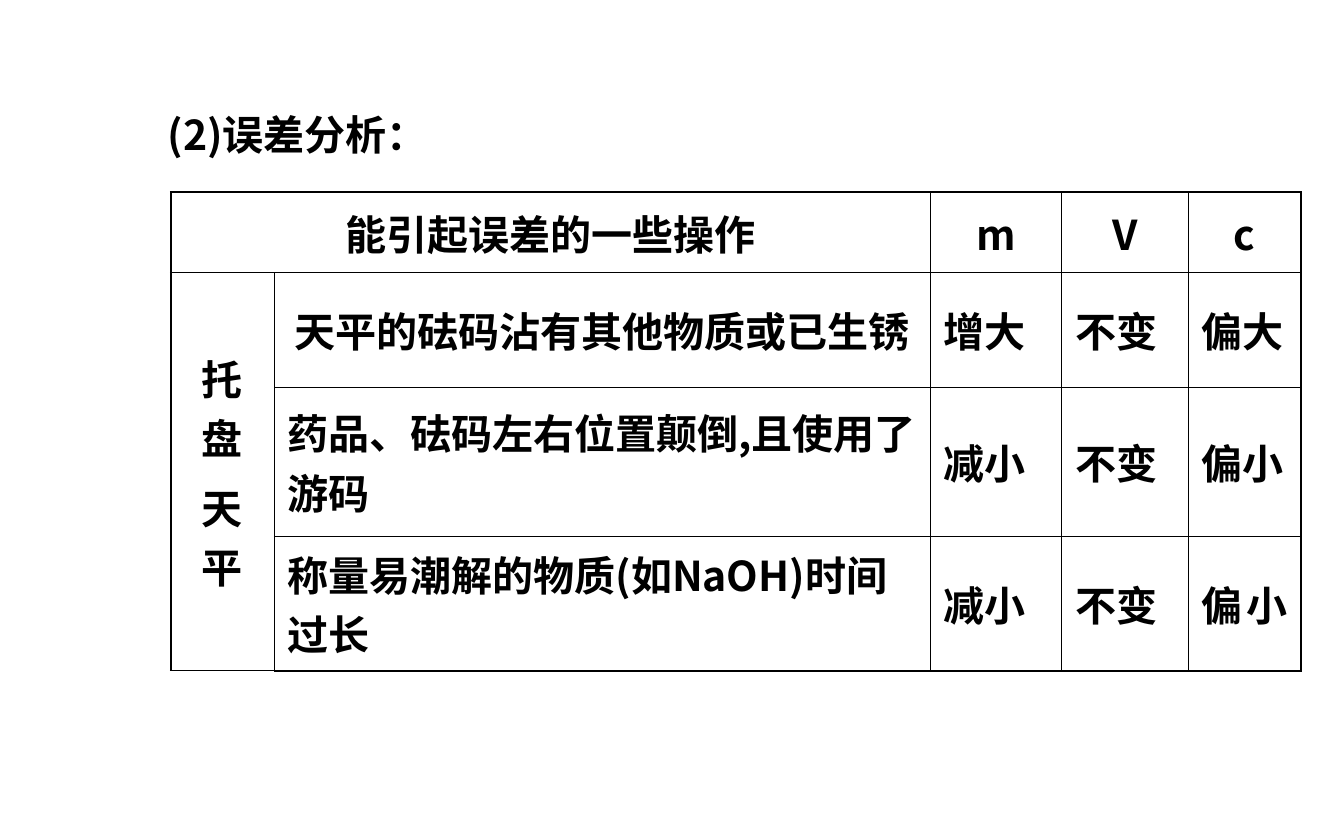
from lxml.etree import SubElement
from pptx import Presentation
from pptx.dml.color import RGBColor
from pptx.enum.text import MSO_ANCHOR, PP_ALIGN
from pptx.oxml import parse_xml
from pptx.oxml.ns import nsdecls, qn
from pptx.util import Inches, Pt

FONT = "Noto Sans CJK SC"
BLACK = "000000"
THIN, THICK = 0.45, 1.08
COLS = [0.77, 4.88, 0.98, 0.94, 0.84]
ROWS = [0.6, 0.85, 1.11, 1]
CELLS = [
    ["能引起误差的一些操作", "", "m", "V", "c"],
    ["托盘\n天平", "天平的砝码沾有其他物质或已生锈", "增大", "不变", "偏大"],
    ["", "药品、砝码左右位置颠倒,且使用了游码", "减小", "不变", "偏小"],
    ["", "称量易潮解的物质(如NaOH)时间过长", "减小", "不变", "偏小"],
]
CENTRED = {(1, 0), (1, 1)}


def rgb(color):
    return RGBColor.from_string(color)


def add_run(p, text, name=FONT, size=22, bold=True):
    r = p.add_run()
    r.text = text
    r.font.color.rgb = rgb(BLACK)
    for key, value in {"name": name, "size": Pt(size), "bold": bold}.items():
        setattr(r.font, key, value)
    SubElement(r.font._element, qn("a:ea"), typeface=name)


def write(tf, text, align=PP_ALIGN.LEFT, line_spacing=None):
    for i, line in enumerate(text.split("\n")):
        p = tf.add_paragraph() if i else tf.paragraphs[0]
        p.alignment = align
        if line_spacing:
            p.line_spacing = line_spacing
        if i:
            p.space_before = Pt(5.5)
        add_run(p, line)


def add_heading(s, text):
    tf = s.shapes.add_textbox(Inches(1.15), Inches(0.58), Inches(8.55), Inches(0.65)).text_frame
    tf.word_wrap = True
    write(tf, text, line_spacing=1.5)


def set_borders(cell, row, col):
    """Thick lines on the table's outline, thin lines inside."""
    outer = {"L": col == 0, "R": col == len(COLS) - 1,
             "T": row == 0, "B": row == len(ROWS) - 1}
    tcPr = cell._tc.get_or_add_tcPr()
    for i, (side, is_outer) in enumerate(outer.items()):
        width = Pt(THICK if is_outer else THIN)
        tcPr.insert(i, parse_xml(
            f'<a:ln{side} {nsdecls("a")} w="{width}"><a:solidFill>'
            f'<a:srgbClr val="{BLACK}"/></a:solidFill></a:ln{side}>'))


def fill_cell(cell, text, row, col):
    cell.fill.background()
    cell.vertical_anchor = MSO_ANCHOR.MIDDLE
    set_borders(cell, row, col)
    if text:
        centred = row == 0 or (row, col) in CENTRED
        write(cell.text_frame, text, PP_ALIGN.CENTER if centred else PP_ALIGN.LEFT)


def add_error_table(s):
    frame = s.shapes.add_table(len(ROWS), len(COLS), Inches(1.27), Inches(1.43),
                               Inches(sum(COLS)), Inches(sum(ROWS)))
    table = frame.table
    for column, width in zip(table.columns, COLS):
        column.width = Inches(width)
    for row, height in zip(table.rows, ROWS):
        row.height = Inches(height)
    table.cell(0, 0).merge(table.cell(0, 1))
    table.cell(1, 0).merge(table.cell(3, 0))
    for row, texts in enumerate(CELLS):
        for col, text in enumerate(texts):
            fill_cell(table.cell(row, col), text, row, col)
    p = table.cell(3, 4).text_frame.paragraphs[0]
    p.alignment = PP_ALIGN.JUSTIFY
    add_run(p, " ", "Arial", 28, False)


def main():
    prs = Presentation()
    prs.slide_width, prs.slide_height = Inches(10), Inches(6.25)
    s = prs.slides.add_slide(prs.slide_layouts[6])
    add_heading(s, "(2)误差分析：")
    add_error_table(s)
    prs.save("out.pptx")


if __name__ == "__main__":
    main()
